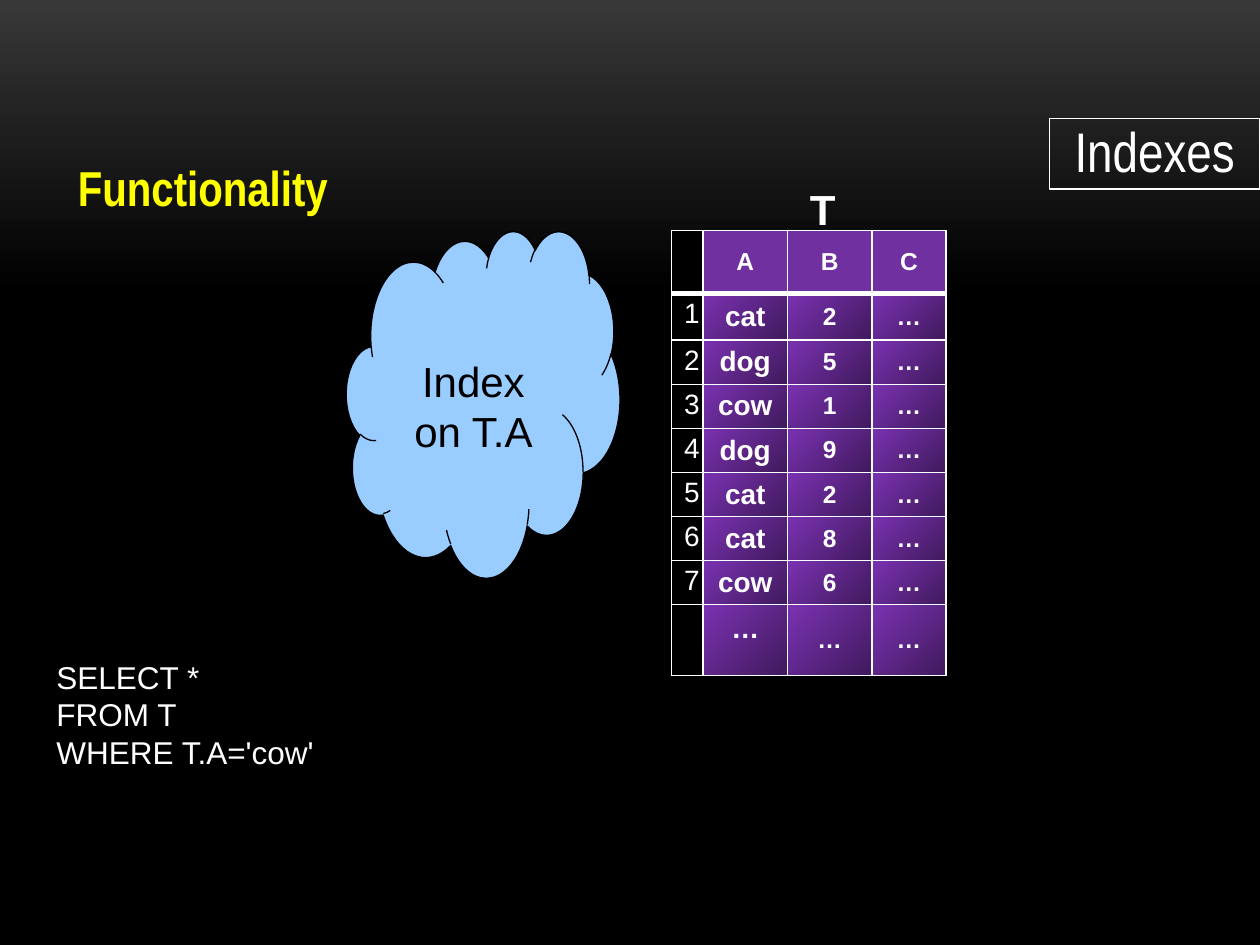
import lxml.etree
import pptx
import pptx.dml.color
import pptx.enum.shapes
import pptx.enum.text
import pptx.oxml.ns
import pptx.util

Inches = pptx.util.Inches
Pt = pptx.util.Pt
SHAPE = pptx.enum.shapes.MSO_SHAPE
ALIGN = pptx.enum.text.PP_ALIGN
ANCHOR = pptx.enum.text.MSO_ANCHOR
AUTO_SIZE = pptx.enum.text.MSO_AUTO_SIZE
qn = pptx.oxml.ns.qn

COLORS = {
    "white": "FFFFFF",
    "black": "000000",
    "gray": "383838",
    "yellow": "FFFF00",
    "sky": "99CCFF",
    "header": "7030A0",
    "cell_start": "7B32B2",
    "cell_end": "401A5D",
}

HEADER = ["", "A", "B", "C"]
RECORDS = [("cat", 2), ("dog", 5), ("cow", 1), ("dog", 9), ("cat", 2), ("cat", 8), ("cow", 6)]
COL_WIDTHS = [0.25, 0.67, 0.67, 0.59]
ROW_HEIGHTS = [0.5, 0.37] + [0.35] * 6 + [0.56]


def rgb(name):
    return pptx.dml.color.RGBColor.from_string(COLORS[name])


def apply(obj, values):
    for name, value in values.items():
        setattr(obj, name, value)


def set_solid(fill, color):
    fill.solid()
    fill.fore_color.rgb = rgb(color)


def set_gradient(fill, stops, angle):
    fill.gradient()
    fill.gradient_angle = angle
    for stop, (position, color) in zip(fill.gradient_stops, stops):
        stop.position = position
        stop.color.rgb = rgb(color)


def set_text(tf, lines, size, color="white", font="Arial", bold=False, paragraph=None):
    for i, line in enumerate(lines):
        p = tf.paragraphs[0] if i == 0 else tf.add_paragraph()
        apply(p, paragraph or {})
        r = p.add_run()
        r.text = line
        apply(r.font, {"name": font, "size": Pt(size), "bold": bold})
        r.font.color.rgb = rgb(color)


def add_label(s, box, lines, size, frame=None, **style):
    tf = s.shapes.add_textbox(*map(Inches, box)).text_frame
    apply(tf, {"word_wrap": True, **(frame or {})})
    set_text(tf, lines, size, **style)
    return tf


def add_box(s, preset, box, line, fill=None):
    sp = s.shapes.add_shape(preset, *map(Inches, box))
    sp.shadow.inherit = False
    if fill:
        set_solid(sp.fill, fill)
    else:
        sp.fill.background()
    sp.line.color.rgb = rgb(line)
    sp.line.width = Pt(0.75)
    return sp


def set_borders(cell, widths):
    tcPr = cell._tc.get_or_add_tcPr()
    for i, (side, width) in enumerate(widths.items()):
        ln = lxml.etree.Element(qn("a:ln" + side), w=str(Pt(width)))
        fill = lxml.etree.SubElement(ln, qn("a:solidFill"))
        lxml.etree.SubElement(fill, qn("a:srgbClr"), val=COLORS["white"])
        tcPr.insert(i, ln)


def add_table(s, left, top):
    rows = [HEADER]
    rows += [[str(n), animal, str(b), "…"] for n, (animal, b) in enumerate(RECORDS, 1)]
    rows.append(["", "…", "…", "…"])
    size = map(Inches, (left, top, sum(COL_WIDTHS), sum(ROW_HEIGHTS)))
    table = s.shapes.add_table(len(rows), len(HEADER), *size).table
    apply(table, {"first_row": False, "horz_banding": False})
    for column, width in zip(table.columns, COL_WIDTHS):
        column.width = Inches(width)
    for i, (row, height) in enumerate(zip(rows, ROW_HEIGHTS)):
        table.rows[i].height = Inches(height)
        for j, text in enumerate(row):
            fill_cell(table.cell(i, j), text, i, j)
    table.cell(len(rows) - 1, 1).margin_bottom = Inches(0.22)


def fill_cell(cell, text, i, j):
    apply(cell, {
        "margin_top": Inches(0.04),
        "margin_bottom": Inches(0.04),
        "vertical_anchor": ANCHOR.MIDDLE if j else ANCHOR.TOP,
    })
    if j == 0:
        set_solid(cell.fill, "black")
    elif i == 0:
        set_solid(cell.fill, "header")
    else:
        set_gradient(cell.fill, [(0, "cell_start"), (1, "cell_end")], 315)
    set_borders(cell, {"L": 1, "R": 1, "T": 3 if i == 1 else 1, "B": 1 if i else 3})
    if text:
        size = 16 if i and j < 2 else 14
        set_text(cell.text_frame, [text], size, bold=j > 0, paragraph={"alignment": ALIGN.CENTER})


def main():
    prs = pptx.Presentation()
    apply(prs, {"slide_width": Inches(10), "slide_height": Inches(7.5)})
    s = prs.slides.add_slide(prs.slide_layouts[6])
    set_gradient(s.background.fill, [(0, "gray"), (0.31, "black")], 270)

    title = add_box(s, SHAPE.RECTANGLE, (8.33, 0.94, 1.67, 0.56), "white")
    title.text_frame.vertical_anchor = ANCHOR.BOTTOM
    set_text(title.text_frame, ["Indexes"], 31.9, font="Arial Narrow",
             paragraph={"alignment": ALIGN.CENTER, "line_spacing": 0.8})

    heading = add_label(s, (0.42, 1.25, 9.08, 0.75), ["Functionality"], 28, color="yellow",
                        font="Arial Narrow", bold=True,
                        paragraph={"line_spacing": 0.9, "space_after": Pt(12)})
    pPr = heading.paragraphs[0]._p.get_or_add_pPr()
    pPr.set("marL", str(Inches(0.3)))
    pPr.set("indent", str(Inches(-0.2)))

    add_table(s, 5.33, 1.83)

    cloud = add_box(s, SHAPE.CLOUD, (2.75, 1.83, 2.17, 2.75), "black", "sky")
    apply(cloud.text_frame, {"vertical_anchor": ANCHOR.MIDDLE, "margin_top": Inches(0.21)})
    set_text(cloud.text_frame, ["Index", "on T.A"], 24, "black",
             paragraph={"alignment": ALIGN.CENTER})

    grow = {"auto_size": AUTO_SIZE.SHAPE_TO_FIT_TEXT}
    add_label(s, (6.33, 1.41, 0.33, 0.5), ["T"], 24, grow, bold=True)
    add_label(s, (0.35, 5.17, 2.76, 1.01), ["SELECT *", "FROM T", "WHERE T.A='cow'"], 18, grow)

    prs.save("out.pptx")


if __name__ == "__main__":
    main()
